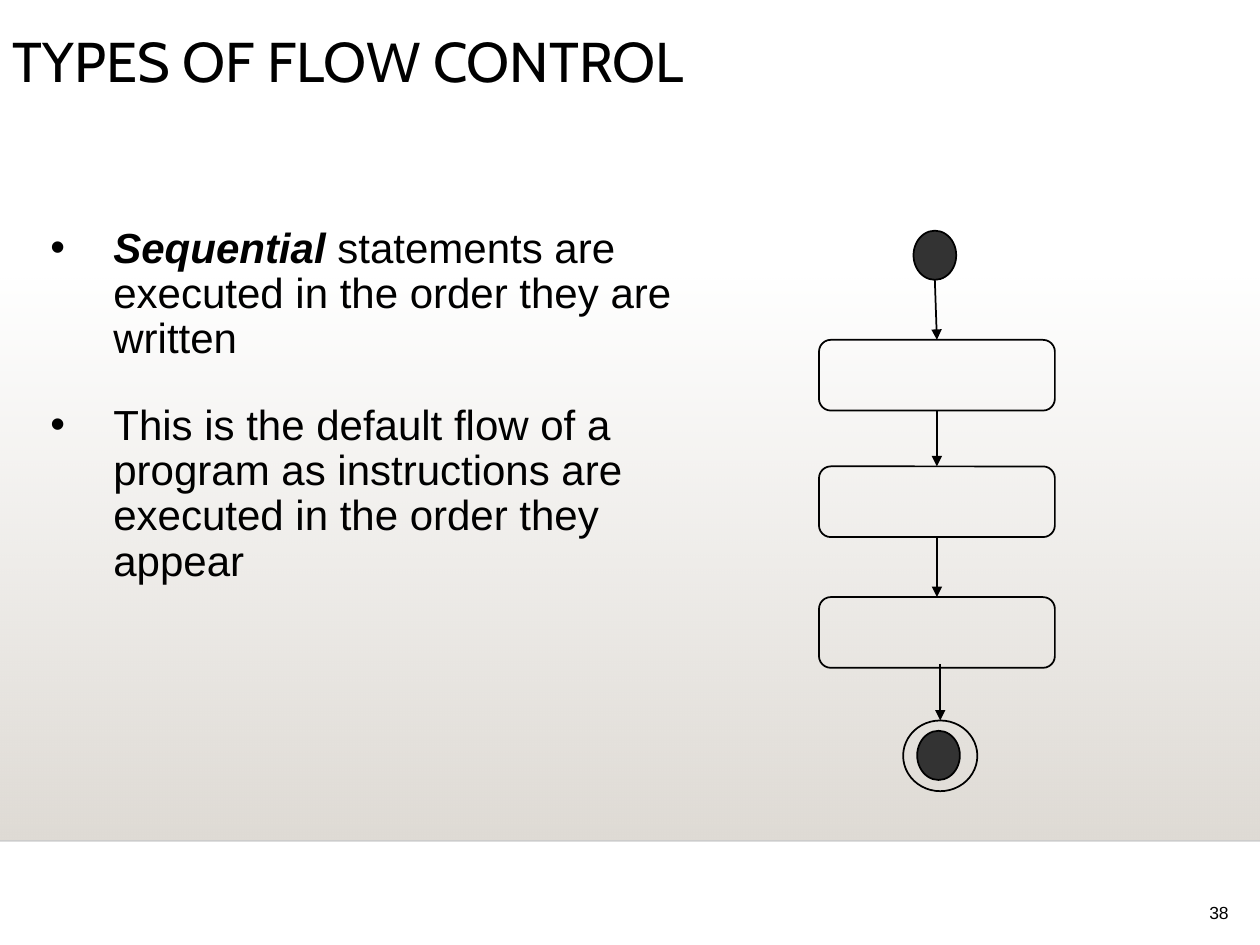
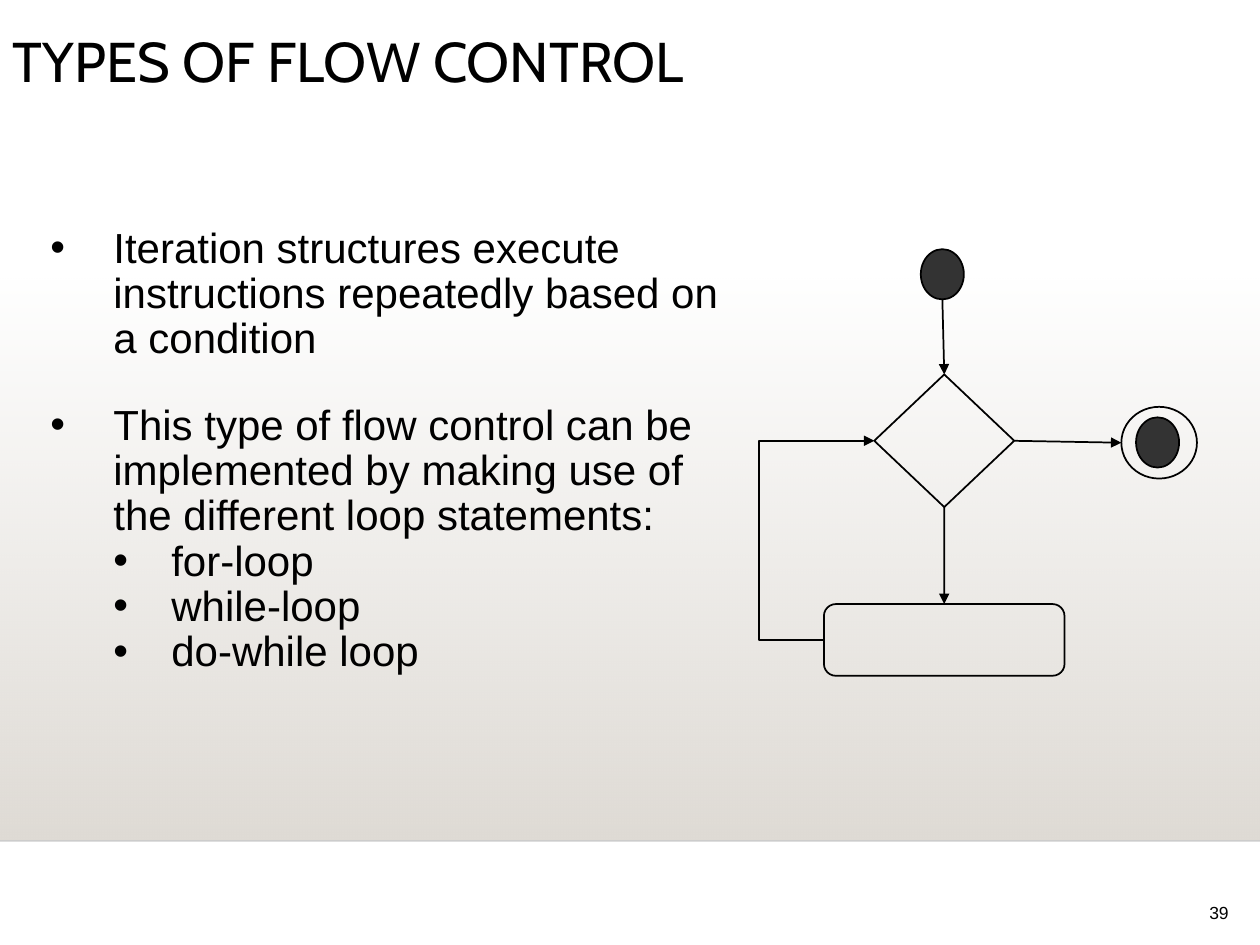
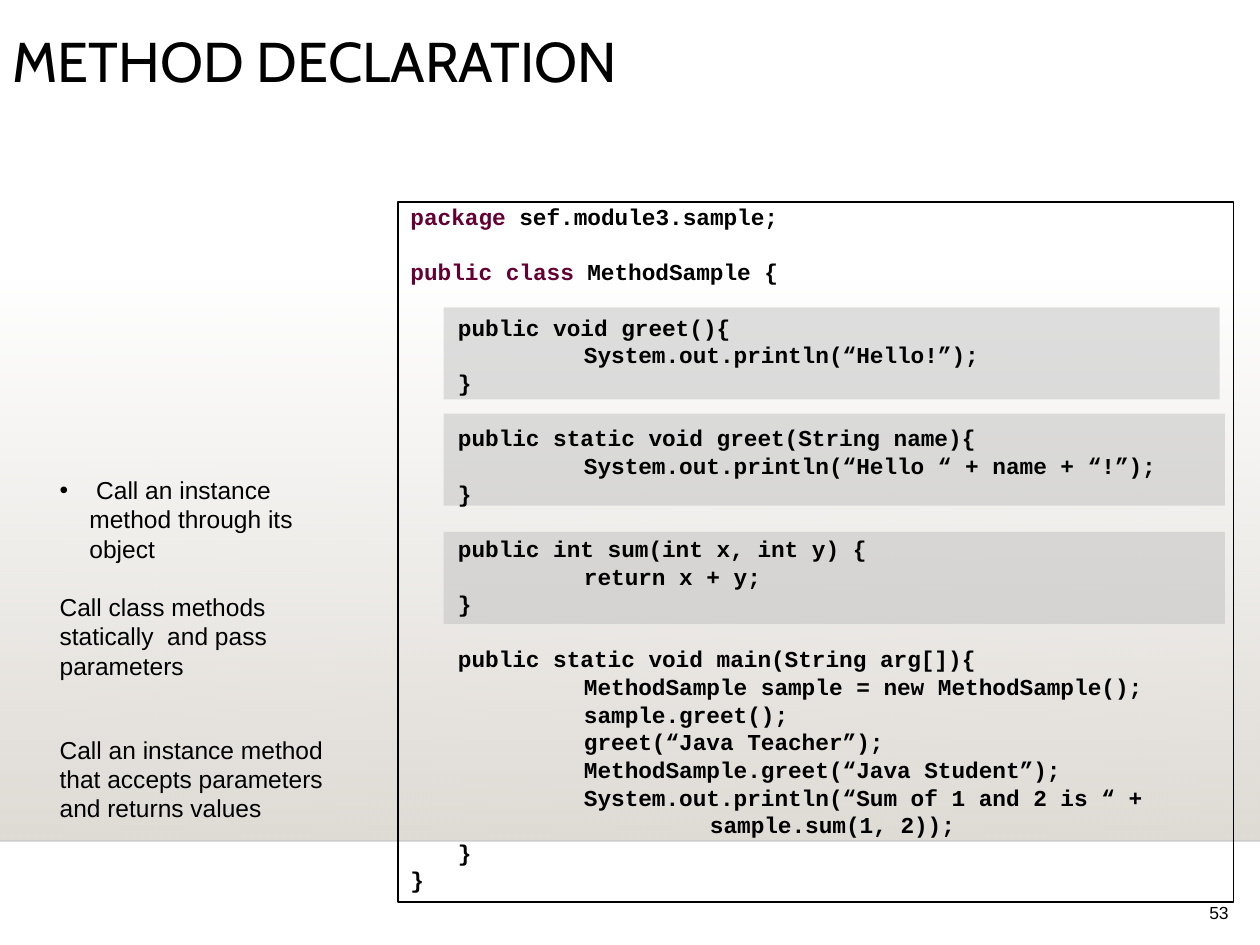
from lxml import etree
from pptx import Presentation
from pptx.dml.color import RGBColor
from pptx.enum import shapes as es, text as et
from pptx.oxml.ns import qn
from pptx.util import Pt

# Content: flow slides hold bullets as (level, space before, runs) and a diagram
FLOW_TITLE = "TYPES OF FLOW CONTROL"
GAP = 23.5
FLOWS = [
    dict(
        number="38", title=FLOW_TITLE,
        bullets=[
            (0, 0, [("Sequential ", True),
                    ("statements are executed in the order they are written", False)]),
            (0, GAP, [("This is the default flow of a program as instructions "
                       "are executed in the order they appear", False)]),
        ],
        nodes={
            "step 1": ("step", 468, 194.2, 134.8, 40.4),
            "step 2": ("step", 468, 266.5, 134.8, 40.4),
            "step 3": ("step", 468, 341.2, 134.8, 40.4),
            "start": ("dot", 522, 131.8, 24.4, 28.1),
            "end dot": ("dot", 524.1, 417.6, 24.4, 28.1),
            "end ring": ("ring", 516.1, 411.7, 42.4, 40.4),
        },
        arrows=[
            (("start", "bottom"), ("step 1", "top")),
            (("step 1", "bottom"), ("step 2", "top")),
            (("step 2", "bottom"), ("step 3", "top")),
            ((537.3, 379.4), ("end ring", "top")),
        ],
        loops=[],
    ),
    dict(
        number="39", title=FLOW_TITLE,
        bullets=[
            (0, 0, [("Iteration structures execute instructions repeatedly "
                     "based on a condition", False)]),
            (0, GAP, [("This type of flow control can be implemented by making "
                       "use of the different loop statements:", False)]),
            (1, 0, [("for-loop", False)]),
            (1, 0, [("while-loop", False)]),
            (1, 0, [("do-while loop", False)]),
        ],
        nodes={
            "condition": ("choice", 499.6, 214, 80, 75.8),
            "step": ("step", 470.8, 345.2, 137.5, 41),
            "start": ("dot", 526.2, 142.4, 24.6, 28.7),
            "end dot": ("dot", 649.2, 238.5, 24.6, 28.7),
            "end ring": ("ring", 640.8, 232.5, 43.2, 41),
        },
        arrows=[
            (("start", "bottom"), ("condition", "top")),
            (("condition", "right"), ("end ring", "left")),
            (("condition", "bottom"), ("step", "top")),
        ],
        loops=[(("step", "left"), ("condition", "left"), 433.8)],
    ),
]

# Content: code blocks of (indent level, keyword, rest), one blank line between blocks
METHOD_NUMBER, METHOD_TITLE = "53", "METHOD DECLARATION"
CODE = [
    [(0, "package ", "sef.module3.sample;")],
    [(0, "public class", " MethodSample {")],
    [(1, "", "public void greet(){"),
     (2, "", "System.out.println(“Hello!”);"),
     (1, "", "}")],
    [(1, "", "public static void greet(String name){"),
     (2, "", "System.out.println(“Hello “ + name + “!”);"),
     (1, "", "}")],
    [(1, "", "public int sum(int x, int y) {"),
     (2, "", "return x + y;"),
     (1, "", "}")],
    [(1, "", "public static void main(String arg[]){"),
     (2, "", "MethodSample sample = new MethodSample();"),
     (2, "", "sample.greet();"),
     (2, "", "greet(“Java Teacher”);"),
     (2, "", "MethodSample.greet(“Java Student”);"),
     (2, "", "System.out.println(“Sum of 1 and 2 is “ +"),
     (3, "", "sample.sum(1, 2));"),
     (1, "", "}"),
     (0, "", "}")],
]
HIGHLIGHTS = [(175.6, 443.4), (236.4, 446.4), (303.9, 446.4)]  # top, width
NOTES = [  # top, height, bulleted, text
    (267.8, 43.9, True, " Call an instance method through its object"),
    (334.8, 67, False, "Call class methods statically  and pass parameters"),
    (416.2, 63.4, False, "Call an instance method that accepts parameters and returns values"),
]

# Shared look
BLACK, DOT, BAND, KEYWORD, MARK = "000000", "333333", "DFDBD5", "660033", "C0C0C0"
TITLE_FONT = dict(name="Cabin", size=Pt(32), bold=False)
BODY_FONT = dict(name="Arial", size=Pt(24))
CODE_FONT = dict(name="Courier New", size=Pt(13), bold=True)
NOTE_FONT = dict(name="Arial", size=Pt(14))
NUMBER_FONT = dict(name="Arial", size=Pt(10))
TEXT_SPACING, TIGHT_SPACING, NOTE_SPACING = 0.9, 0.8, 1.0
INDENTS = [(36, -36), (69.1, -33.1)]
CODE_INDENTS = [0, 27.1, 99.1, 171.1]
CODE_LINE, CODE_SPACE = 15.8, 3.3
KINDS = {
    "step": (es.MSO_SHAPE.ROUNDED_RECTANGLE, None),
    "choice": (es.MSO_SHAPE.DIAMOND, None),
    "dot": (es.MSO_SHAPE.FLOWCHART_CONNECTOR, DOT),
    "ring": (es.MSO_SHAPE.FLOWCHART_CONNECTOR, None),
}
SIDES = {"top": (0, 0.5, 0), "left": (1, 0, 0.5),
         "bottom": (2, 0.5, 1), "right": (3, 1, 0.5)}  # site, x share, y share


def rgb(value):
    return RGBColor.from_string(value)


def pts(*values):
    return [Pt(v) for v in values]


def put(obj, **values):
    for name, value in values.items():
        setattr(obj, name, value)


def place(sp, x, y, w, h):
    put(sp, left=Pt(x), top=Pt(y), width=Pt(w), height=Pt(h))


def set_alpha(color, percent):
    etree.SubElement(color, qn("a:alpha")).set("val", str(percent * 1000))


def add_shape(s, kind, box, fill=None, line=None):
    sp = s.shapes.add_shape(kind, *pts(*box))
    sp.shadow.inherit = False
    if fill:
        sp.fill.solid()
        sp.fill.fore_color.rgb = rgb(fill)
    else:
        sp.fill.background()
    if line:
        sp.line.color.rgb = rgb(line)
        sp.line.width = Pt(1)
    else:
        sp.line.fill.background()
    return sp


def add_line(s, start, end, kind=es.MSO_CONNECTOR.STRAIGHT, color=BLACK):
    cx = s.shapes.add_connector(kind, *pts(*start, *end))
    cx.line.color.rgb = rgb(color)
    cx.line.width = Pt(1)
    etree.SubElement(cx.element.spPr, qn("a:effectLst"))
    return cx


def add_head(cx):
    etree.SubElement(cx.line._get_or_add_ln(), qn("a:tailEnd")).set("type", "triangle")


def set_frame(sp, anchor=et.MSO_ANCHOR.TOP):
    tf = sp.text_frame
    put(tf, word_wrap=True, auto_size=et.MSO_AUTO_SIZE.NONE, vertical_anchor=anchor,
        margin_left=Pt(7.2), margin_right=Pt(7.2), margin_top=Pt(3.6), margin_bottom=Pt(3.6))
    return tf


def add_paragraph(tf, first, runs, font, spacing, before=0, indent=(0, 0),
                  bullet=False, align=et.PP_ALIGN.LEFT):
    """Write one paragraph; runs are (text, font values, colour)."""
    p = tf.paragraphs[0] if first else tf.add_paragraph()
    pPr = p._p.get_or_add_pPr()
    pPr.set("marL", str(Pt(indent[0])))
    pPr.set("indent", str(Pt(indent[1])))
    if bullet:
        color = etree.SubElement(pPr, qn("a:buClr"))
        etree.SubElement(color, qn("a:srgbClr")).set("val", BLACK)
        etree.SubElement(pPr, qn("a:buFont")).set("typeface", "Arial")
        etree.SubElement(pPr, qn("a:buChar")).set("char", "•")
    else:
        etree.SubElement(pPr, qn("a:buNone"))
    put(p, alignment=align, line_spacing=spacing, space_before=Pt(before), space_after=Pt(0))
    for text, extra, color in runs:
        r = p.add_run()
        r.text = text
        put(r.font, **font, **extra)
        r.font.color.rgb = rgb(color)
    return p


def move_to_master(prs, sp, number):
    sp.element.xpath(".//p:cNvPr")[0].set("id", str(number))
    prs.slide_master.shapes[0].element.addprevious(sp.element)


def decorate_master(prs, s):
    band = add_shape(s, es.MSO_SHAPE.RECTANGLE, (0, 158.6, 720, 321.4))
    band.fill.gradient()
    band.fill.gradient_angle = 270
    for stop in band.fill.gradient_stops:
        stop.color.rgb = rgb(BAND)
    set_alpha(band.element.xpath(".//a:gs/a:srgbClr")[0], 0)
    rule = add_line(s, (0, 480.5), (720, 480.5), color="000001")
    set_alpha(rule.element.xpath(".//a:ln//a:srgbClr")[0], 20)
    move_to_master(prs, band, 101)
    move_to_master(prs, rule, 102)


def new_slide(prs, layout, title, number):
    s = prs.slides.add_slide(prs.slide_layouts[layout])
    place(s.shapes.title, 0, 15.8, 642.2, 72)
    add_paragraph(set_frame(s.shapes.title), True, [(title, {}, BLACK)],
                  TITLE_FONT, TEXT_SPACING)
    sp = s.shapes.add_textbox(*pts(576, 509.8, 133.2, 20.9))
    add_paragraph(set_frame(sp, et.MSO_ANCHOR.BOTTOM), True, [(number, {}, BLACK)],
                  NUMBER_FONT, TIGHT_SPACING, align=et.PP_ALIGN.RIGHT)
    return s


def end_point(nodes, end):
    """Give the position of an arrow end: a plain point or the side of a node."""
    if end[0] not in nodes:
        return end
    _, x, y, w, h = nodes[end[0]]
    _, fx, fy = SIDES[end[1]]
    return x + w * fx, y + h * fy


def draw_diagram(s, nodes, arrows, loops):
    drawn = {}
    for name, (kind, *box) in nodes.items():
        preset, fill = KINDS[kind]
        drawn[name] = add_shape(s, preset, box, fill, BLACK)
    for start, end in arrows:
        cx = add_line(s, end_point(nodes, start), end_point(nodes, end))
        for join, (name, side) in ((cx.begin_connect, start), (cx.end_connect, end)):
            if name in nodes and nodes[name][0] in ("step", "choice"):
                join(drawn[name], SIDES[side][0])
        add_head(cx)
    for start, end, bend_x in loops:
        a, b = end_point(nodes, start), end_point(nodes, end)
        cx = add_line(s, a, b, es.MSO_CONNECTOR.ELBOW)
        geom = cx.element.xpath(".//a:prstGeom")[0]
        for old in list(geom):
            geom.remove(old)
        guide = etree.SubElement(etree.SubElement(geom, qn("a:avLst")), qn("a:gd"))
        guide.set("name", "adj1")
        guide.set("fmla", f"val {round((bend_x - a[0]) / (b[0] - a[0]) * 100000)}")
        add_head(cx)


def flow_slide(prs, flow):
    s = new_slide(prs, 1, flow["title"], flow["number"])
    body = s.placeholders[1]
    place(body, 21.6, 126, 409, 363)
    tf = set_frame(body)
    for i, (level, before, runs) in enumerate(flow["bullets"]):
        styled = [(t, dict(bold=strong, italic=strong), BLACK) for t, strong in runs]
        p = add_paragraph(tf, i == 0, styled, BODY_FONT, TEXT_SPACING, before,
                          INDENTS[level], True)
        p.level = level
    draw_diagram(s, flow["nodes"], flow["arrows"], flow["loops"])
    return s


def method_slide(prs):
    s = new_slide(prs, 5, METHOD_TITLE, METHOD_NUMBER)
    # Highlighted methods
    for top, width in HIGHLIGHTS:
        sp = add_shape(s, es.MSO_SHAPE.RECTANGLE, (253.6, top, width, 52.6), MARK)
        set_alpha(sp.element.xpath(".//a:solidFill/a:srgbClr")[0], 50)
    # Code listing
    sp = add_shape(s, es.MSO_SHAPE.RECTANGLE, (227.5, 115.4, 477.4, 400.2), line=BLACK)
    tf = set_frame(sp)
    for b, block in enumerate(CODE):
        for i, (level, keyword, rest) in enumerate(block):
            first = b == i == 0
            before = 0 if first else CODE_SPACE + (CODE_LINE if i == 0 else 0)
            runs = [(t, {}, c) for t, c in ((keyword, KEYWORD), (rest, BLACK)) if t]
            add_paragraph(tf, first, runs, CODE_FONT, TIGHT_SPACING, before,
                          (CODE_INDENTS[level], 0))
    # Notes beside the code
    for top, height, bulleted, note in NOTES:
        sp = s.shapes.add_textbox(*pts(27, top, 180, height))
        add_paragraph(set_frame(sp), True, [(note, {}, BLACK)], NOTE_FONT, NOTE_SPACING,
                      indent=(17, -17) if bulleted else (0, 0), bullet=bulleted)


def main():
    prs = Presentation()
    prs.slide_width, prs.slide_height = pts(720, 540)
    drawn = [flow_slide(prs, flow) for flow in FLOWS]
    method_slide(prs)
    decorate_master(prs, drawn[0])
    prs.save("out.pptx")


if __name__ == "__main__":
    main()
